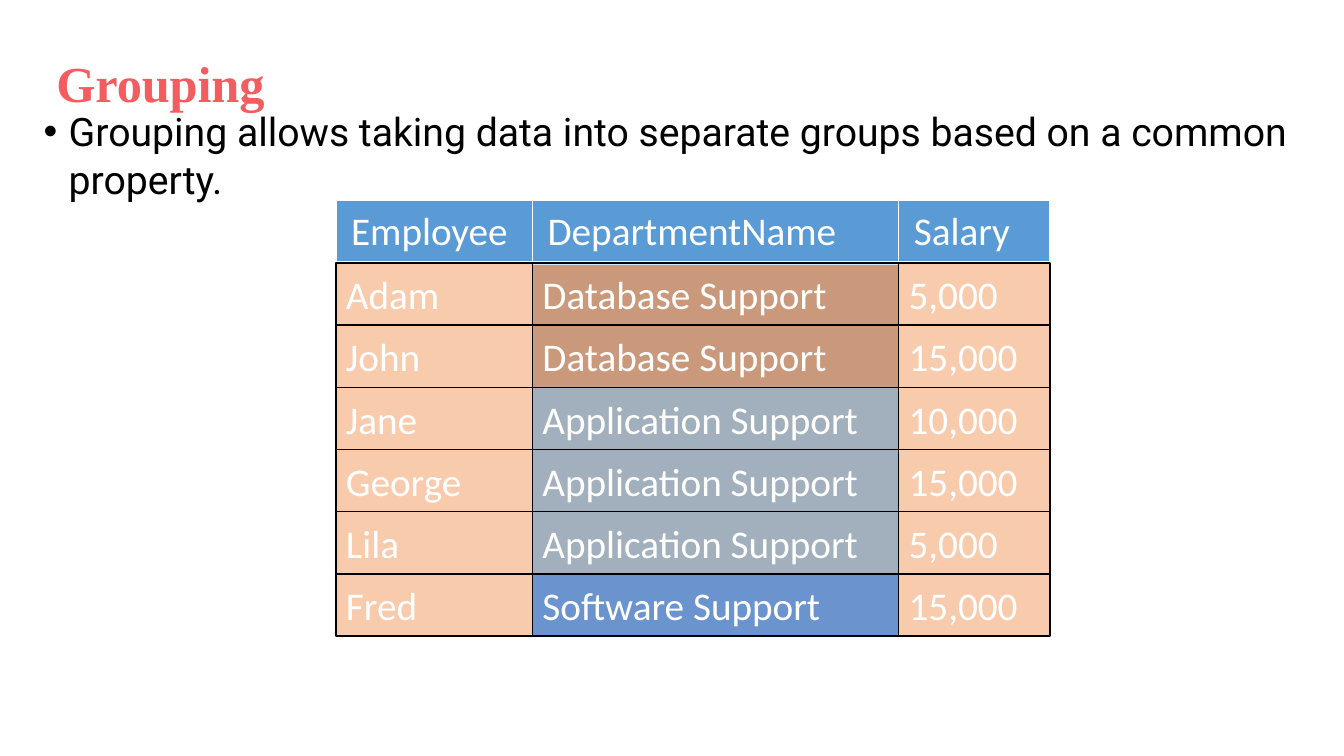
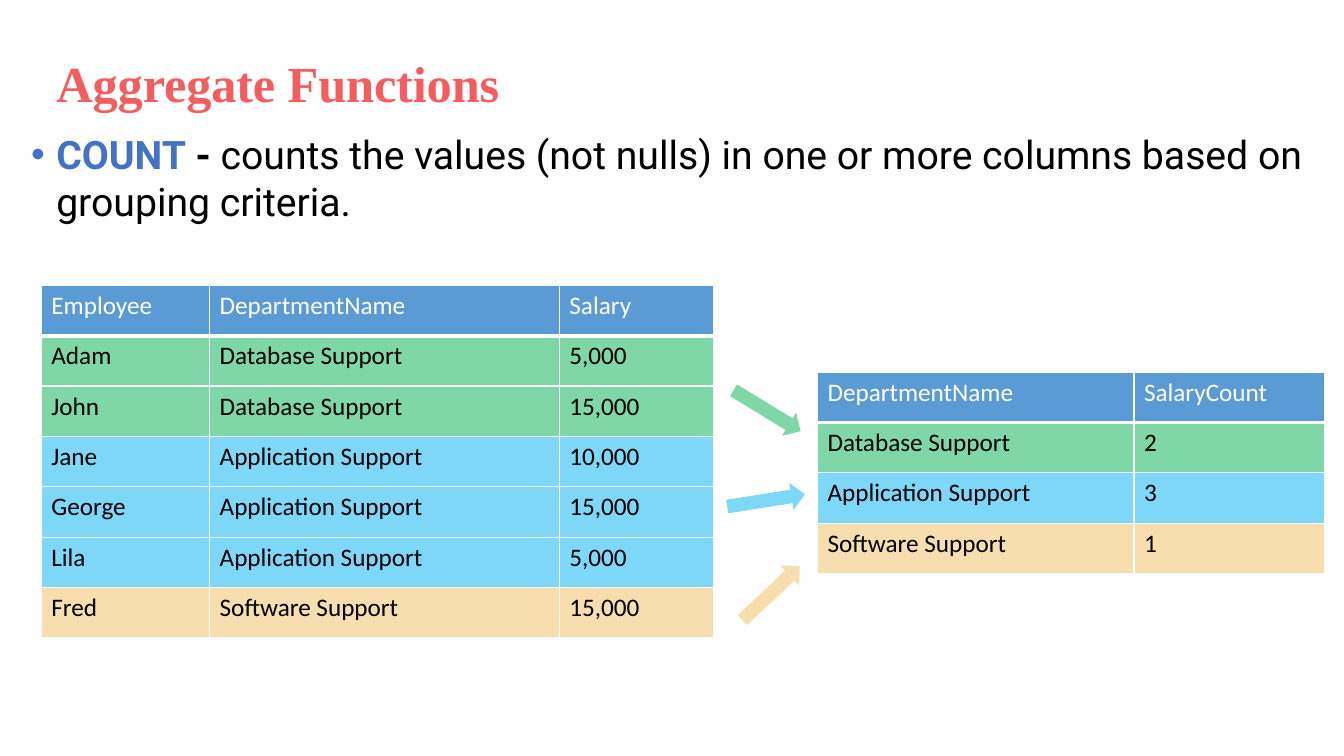
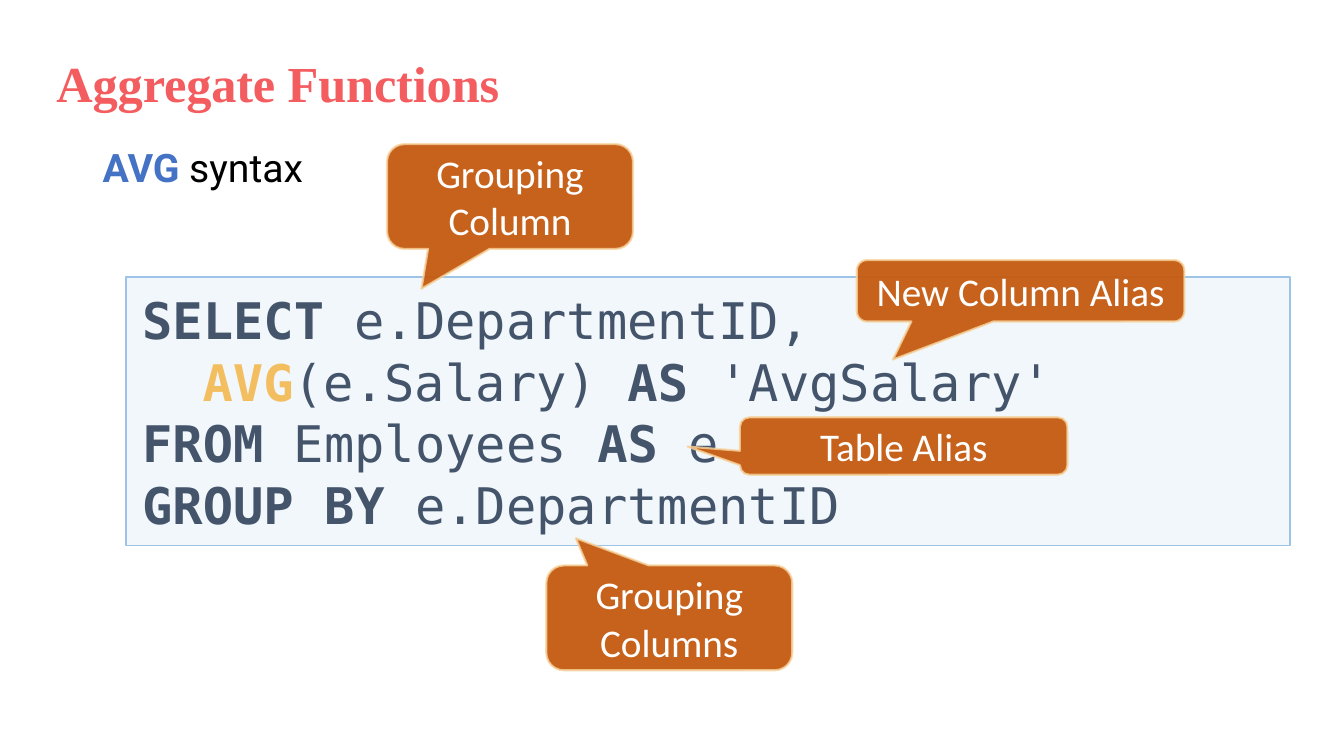
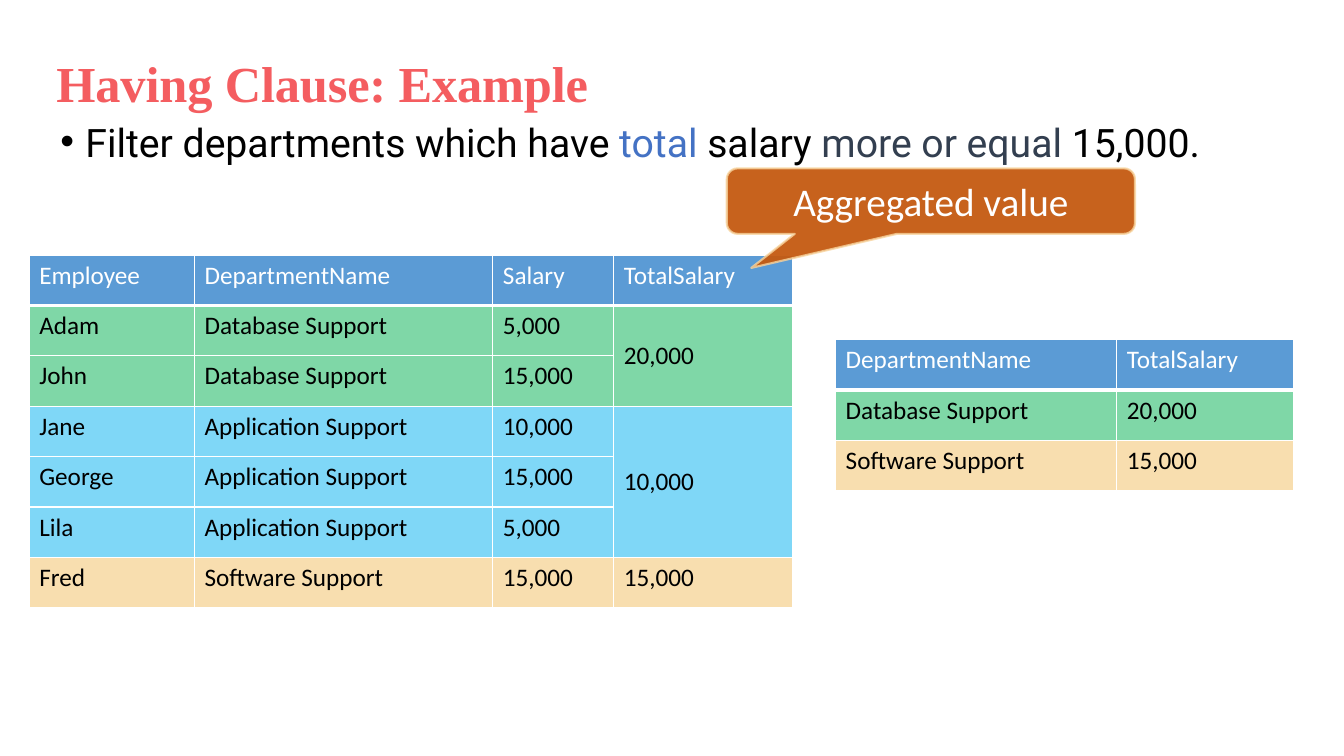
from lxml.etree import SubElement as Sub
from pptx import Presentation
from pptx.dml.color import RGBColor as RGB
from pptx.enum.shapes import MSO_SHAPE as Form
from pptx.enum.text import MSO_ANCHOR as Anchor, MSO_AUTO_SIZE as Fit, PP_ALIGN as Align
from pptx.oxml.ns import qn
from pptx.util import Emu, Inches, Pt

# Grid of square cells
COLS, ROWS, CELL = 40, 22.5, 304800

HUES = {
    "title": "F45D60", "black": "000000", "white": "FFFFFF",
    "blue": "4472C4", "navy": "333F50", "slate": "44546A",
    "head": "5B9BD5", "peach": "F8CBAD", "veil": "2E75B6",
    "orange": "ED7D31", "gray": "A5A5A5",
    "green": "00B050", "sky": "00B0F0", "gold": "F3BE60",
    "rust": "C55A11", "sand": "F8D49E", "pale": "BDD7EE", "rim": "9DC3E6",
}
FONTS = {
    "title": {"name": "Times New Roman", "size": Pt(36)},
    "body": {"name": "Roboto", "size": Pt(28)},
    "label": {"name": "Calibri", "size": Pt(28)},
    "cell": {"name": "Calibri", "size": Pt(18)},
    "code": {"name": "DejaVu Sans Mono", "size": Pt(36)},
}
STAFF = [
    ("green", "Adam", "Database Support", "5,000"),
    ("green", "John", "Database Support", "15,000"),
    ("sky", "Jane", "Application Support", "10,000"),
    ("sky", "George", "Application Support", "15,000"),
    ("sky", "Lila", "Application Support", "5,000"),
    ("gold", "Fred", "Software Support", "15,000"),
]
HEAD = ("head", "Employee", "DepartmentName", "Salary")


def grid(*nums):
    return [Emu(round(n * CELL)) for n in nums]


def apply(item, **vals):
    for key, val in vals.items():
        setattr(item, key, val)


def pads(side, end):
    """Text margins in inches: left and right, then top and bottom."""
    return {"margin_left": Inches(side), "margin_right": Inches(side),
            "margin_top": Inches(end), "margin_bottom": Inches(end)}


def fade(node, part):
    """Set the opacity, in percent, of the solid fill in a node."""
    tint = node.find(qn("a:solidFill")).find(qn("a:srgbClr"))
    Sub(tint, qn("a:alpha"), val=str(part * 1000))


class Deck:
    def __init__(self):
        self.prs = Presentation()
        wide, high = grid(COLS, ROWS)
        apply(self.prs, slide_width=wide, slide_height=high)

    def slide(self, title, wide=28.35):
        page = self.prs.slides.add_slide(self.prs.slide_layouts[5])
        self.shapes = page.shapes
        box = self.shapes.title
        left, top, width, height = grid(1.38, 1.2, wide, 2.13)
        apply(box, left=left, top=top, width=width, height=height)
        apply(box.text_frame, word_wrap=True, auto_size=Fit.NONE,
              vertical_anchor=Anchor.TOP, margin_top=Inches(0.12))
        para = box.text_frame.paragraphs[0]
        apply(para, alignment=Align.LEFT, line_spacing=1.0)
        self.put(para, "title", [(title, "title", True)])
        para.runs[0]._r.get_or_add_rPr().set("spc", "-10")

    def put(self, para, style, runs):
        """Add runs, each a text, a colour name and whether it is bold."""
        for text, hue, bold in runs:
            run = para.add_run()
            run.text = text
            apply(run.font, bold=bold, **FONTS[style])
            run.font.color.rgb = RGB.from_string(HUES[hue])

    def body(self, spot, runs, bullet=True):
        frame = self.shapes.add_textbox(*grid(*spot)).text_frame
        frame.word_wrap = True
        para = frame.paragraphs[0]
        para.space_before = Pt(10)
        self.put(para, "body", runs)
        if bullet:
            props = para._p.get_or_add_pPr()
            props.set("marL", str(Inches(0.25)))
            props.set("indent", str(-Inches(0.25)))
            Sub(props, qn("a:buFont"), typeface="Arial")
            Sub(props, qn("a:buChar"), char="•")

    def shape(self, form, spot, fill, part=100, line=None, thick=1, home=None):
        item = (home or self.shapes).add_shape(form, *grid(*spot))
        item.shadow.inherit = False
        item.fill.solid()
        item.fill.fore_color.rgb = RGB.from_string(HUES[fill])
        fade(item.element.spPr, part)
        if line:
            item.line.color.rgb = RGB.from_string(HUES[line])
            item.line.width = Pt(thick)
        else:
            item.line.fill.background()
        return item

    def label(self, item, text, align=Align.LEFT):
        apply(item.text_frame, word_wrap=True, vertical_anchor=Anchor.MIDDLE)
        para = item.text_frame.paragraphs[0]
        para.alignment = align
        self.put(para, "label", [(text, "white", False)])

    def callout(self, spot, text, *tip):
        item = self.shape(Form.ROUNDED_RECTANGULAR_CALLOUT, spot, "rust", 95, "sand", 1.5)
        fade(item.element.spPr.find(qn("a:ln")), 80)
        for i, val in enumerate(tip):
            item.adjustments[i] = val
        self.label(item, text, Align.CENTER)

    def arrow(self, x, y, turn, fill):
        item = self.shape(Form.RIGHT_ARROW, (x, y, 2.34, 0.81), fill, 50)
        item.rotation = turn

    def stack(self, x, y, wide, high, texts, fill, part=100):
        """A group of boxes, one below the other."""
        home = self.shapes.add_group_shape().shapes
        for i, text in enumerate(texts):
            spot = (x, y + i * high, wide, high)
            self.label(self.shape(Form.RECTANGLE, spot, fill, part, "black", home=home), text)

    def edge(self, props, head):
        for side in "LRTB":
            width = 3 if head and side == "B" else 1
            line = Sub(props, qn("a:ln" + side), w=str(Pt(width)))
            Sub(Sub(line, qn("a:solidFill")), qn("a:srgbClr"), val=HUES["white"])

    def table(self, x, y, cols, rows, highs=None, style="cell", inset=(0.1, 0.05)):
        """Each row is a fill name and its texts; the first row is the head."""
        highs = highs or [1.5] * len(rows)
        spot = grid(x, y, sum(cols), sum(highs))
        tab = self.shapes.add_table(len(rows), len(cols), *spot).table
        apply(tab, first_row=False, horz_banding=False)
        for col, wide in zip(tab.columns, grid(*cols)):
            col.width = wide
        for row, high in zip(tab.rows, grid(*highs)):
            row.height = high
        for r, (fill, *texts) in enumerate(rows):
            hue = "black" if r else "white"
            anchor = Anchor.MIDDLE if highs[r] > 2 else Anchor.TOP
            for c, text in enumerate(texts):
                cell = tab.cell(r, c)
                props = cell._tc.get_or_add_tcPr()
                self.edge(props, r == 0)
                cell.fill.solid()
                cell.fill.fore_color.rgb = RGB.from_string(HUES[fill])
                fade(props, 50 if r else 100)
                apply(cell, vertical_anchor=anchor, **pads(*inset))
                self.put(cell.text_frame.paragraphs[0], style, [(text, hue, False)])

    def code(self, spot, lines):
        """Each line is an indent in inches and its runs."""
        frame = self.shape(Form.RECTANGLE, spot, "pale", 20, "rim").text_frame
        apply(frame, word_wrap=True, vertical_anchor=Anchor.MIDDLE, **pads(0.16, 0.12))
        for i, (inset, runs) in enumerate(lines):
            para = frame.add_paragraph() if i else frame.paragraphs[0]
            apply(para, alignment=Align.LEFT, line_spacing=1.02)
            para._p.get_or_add_pPr().set("marL", str(Inches(inset)))
            self.put(para, "code", runs)


def group(deck):
    deck.slide("Grouping", 20.04)
    x, y, high = 10, 7.83, 1.85
    cols = [5.85, 10.9, 4.5]
    lefts = [x + sum(cols[:i]) for i in range(3)]
    # Department bands
    top = y
    for fill, size in (("orange", 2), ("gray", 3), ("blue", 1)):
        deck.shape(Form.RECTANGLE, (lefts[1], top, cols[1], size * high), fill, 70)
        top += size * high
    deck.body((1, 3.06, 38.73, 18.27), [
        ("Grouping allows taking data into separate groups based on a common property.",
         "black", False)])
    # Head row and columns of boxes
    deck.table(x, 5.95, cols, [HEAD], [1.87], "label", (0.15, 0.08))
    for i, fill, part in ((0, "peach", 100), (2, "peach", 100), (1, "veil", 20)):
        deck.stack(lefts[i], y, cols[i], high, [row[i + 1] for row in STAFF], fill, part)


def count(deck):
    deck.slide("Aggregate Functions")
    deck.body((0.63, 3.72, 38.73, 18.27), [
        ("COUNT", "blue", True), (" -", "black", True),
        (" counts the values (not nulls) in one or more columns based on grouping criteria.",
         "black", False)])
    # Staff, and the count for each department
    deck.table(1.23, 8.49, [5.01, 10.41, 4.59], [HEAD, *STAFF])
    deck.table(24.33, 11.07, [9.42, 5.67], [
        ("head", "DepartmentName", "SalaryCount"),
        ("green", "Database Support", "2"),
        ("sky", "Application Support", "3"),
        ("gold", "Software Support", "1")])
    deck.arrow(21.66, 11.82, 31.4, "green")
    deck.arrow(21.63, 14.49, 351, "sky")
    deck.arrow(21.78, 17.25, 316.7, "gold")


def syntax(deck):
    deck.slide("Aggregate Functions")
    deck.code((3.75, 8.25, 34.65, 7.98), [
        (0, [("SELECT", "slate", True), (" e.DepartmentID,", "slate", False)]),
        (0.6, [("AVG", "gold", True), ("(e.Salary) ", "slate", False),
               ("AS ", "slate", True), ("'AvgSalary'", "slate", False)]),
        (0, [("FROM", "slate", True), (" Employees ", "slate", False),
             ("AS", "slate", True), (" e", "slate", False)]),
        (0, [("GROUP BY", "slate", True), (" e.DepartmentID", "slate", False)])])
    # Notes on the code
    deck.callout((11.52, 4.29, 7.32, 3.12), "Grouping Column", -0.36, 0.88)
    deck.callout((16.26, 16.83, 7.32, 3.12), "Grouping Columns", -0.38, -0.76)
    deck.callout((22.02, 12.42, 9.75, 1.71), "Table Alias", -0.66, 0.01)
    deck.callout((25.5, 7.74, 9.75, 1.83), "New Column Alias", -0.39, 1.12)
    deck.body((2.76, 4.11, 34.5, 14.28),
              [("AVG", "blue", True), (" syntax", "black", False)], bullet=False)


def having(deck):
    deck.slide("Having Clause: Example")
    deck.body((1.5, 3.36, 35.88, 16.29), [
        ("Filter departments which have ", "black", False), ("total", "blue", False),
        (" salary ", "black", False), ("more or equal ", "navy", False),
        ("15,000.", "black", False)])
    # Result, staff and totals
    deck.table(24.87, 10.11, [8.37, 5.25], [
        ("head", "DepartmentName", "TotalSalary"),
        ("green", "Database Support", "20,000"),
        ("gold", "Software Support", "15,000")])
    deck.table(0.87, 7.59, [4.92, 8.88, 3.6], [HEAD, *STAFF])
    deck.table(18.27, 7.59, [5.31], [
        ("head", "TotalSalary"), ("green", "20,000"),
        ("sky", "10,000"), ("gold", "15,000")], [1.5, 3, 4.5, 1.5])
    deck.callout((21.63, 5.01, 12.15, 1.95), "Aggregated value", -0.44, 1.02)


def main():
    deck = Deck()
    for build in (group, count, syntax, having):
        build(deck)
    deck.prs.save("out.pptx")


if __name__ == "__main__":
    main()
